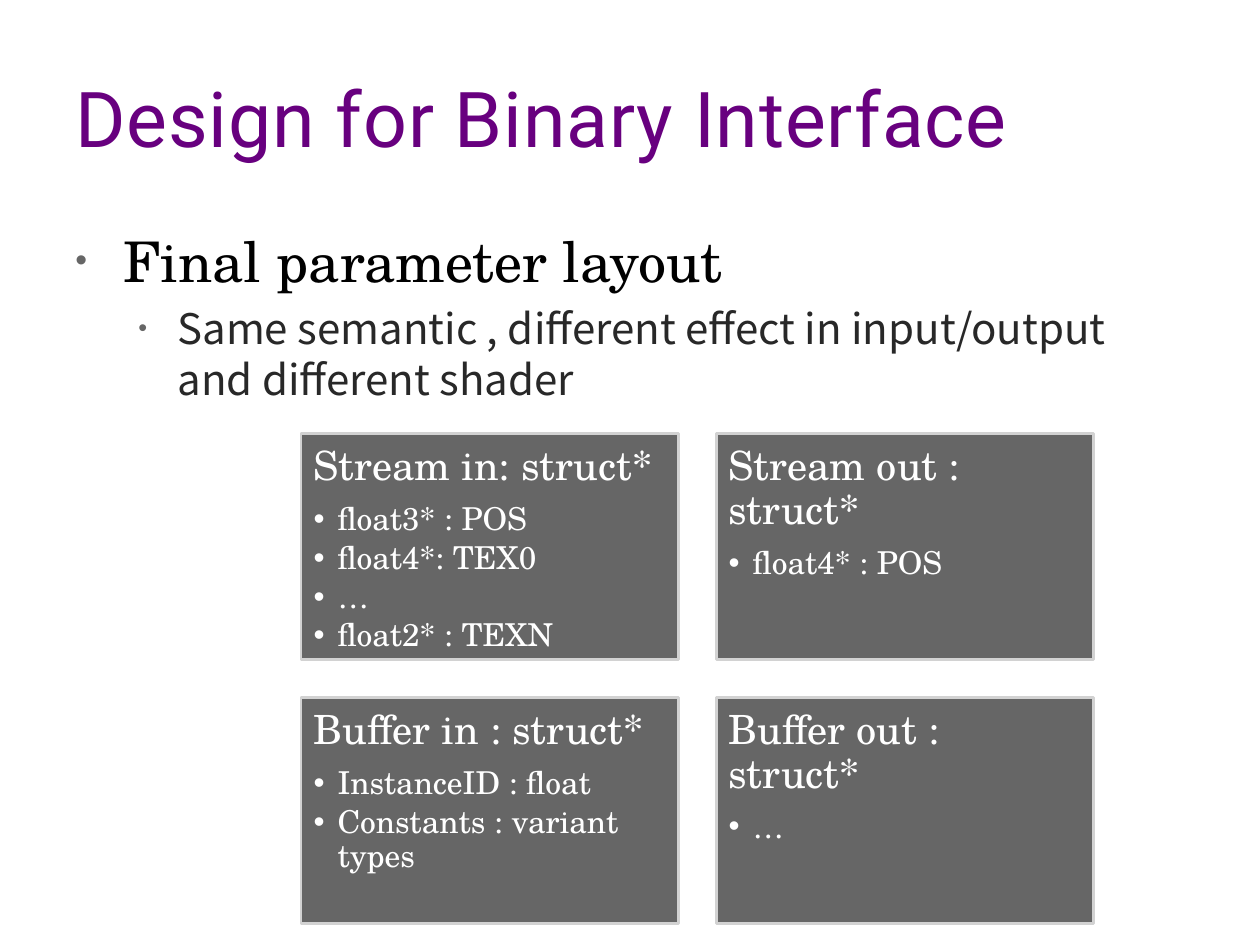
from dataclasses import dataclass
from itertools import product

from lxml.etree import SubElement as Sub
from pptx import Presentation
from pptx.dml.color import RGBColor as Rgb
from pptx.enum.shapes import MSO_SHAPE as Shape
from pptx.enum.text import MSO_ANCHOR as Anchor, PP_ALIGN as Align
from pptx.oxml.ns import qn
from pptx.util import Inches, Pt


@dataclass(frozen=True)
class Theme:
    title: str = "68007F"
    ink: str = "000000"
    soft: str = "282828"
    gray: str = "666666"
    edge: str = "D2D2D2"
    white: str = "FFFFFF"
    sans: str = "Roboto"
    serif: str = "TeX Gyre Schola"
    body: str = "Noto Sans CJK SC"
    huge: int = 44
    large: int = 32
    mid: int = 24
    head: int = 23
    item: int = 18


THEME = Theme()

CARDS = [
    ("Stream in: struct*",
     ["float3* : POS", "float4*: TEX0", "…", "float2* : TEXN"]),
    ("Stream out : struct*", ["float4* : POS"]),
    ("Buffer in : struct*",
     ["InstanceID : float", "Constants : variant types"]),
    ("Buffer out : struct*", ["…"]),
]


def apply(target, values):
    for name, value in values.items():
        setattr(target, name, value)


def write(para, text, font, size, color, **layout):
    run = para.add_run()
    run.text = text
    apply(run.font, {"name": font, "size": Pt(size)})
    run.font.color.rgb = Rgb.from_string(color)
    apply(para, {"alignment": Align.LEFT, **layout})
    return run


def bullet(para, left, hang, color=None, scale=None):
    """Give the paragraph a hanging dot; scale is in percent."""
    props = para._p.get_or_add_pPr()
    props.set("marL", str(Inches(left)))
    props.set("indent", str(-Inches(hang)))
    if color:
        Sub(Sub(props, qn("a:buClr")), qn("a:srgbClr"), val=color)
    if scale:
        Sub(props, qn("a:buSzPct"), val=str(scale * 1000))
    Sub(props, qn("a:buFont"), typeface="Arial")
    Sub(props, qn("a:buChar"), char="•")


def text_box(slide, box, anchor=Anchor.TOP):
    frame = slide.shapes.add_textbox(*map(Inches, box)).text_frame
    apply(frame, {"word_wrap": True, "vertical_anchor": anchor})
    return frame


def add_title(slide, box, text):
    para = text_box(slide, box, Anchor.MIDDLE).paragraphs[0]
    run = write(para, text, THEME.sans, THEME.huge, THEME.title)
    run.font._element.set("spc", "50")


def add_body(slide, box, point, detail):
    frame = text_box(slide, box)
    para = frame.paragraphs[0]
    write(para, point, THEME.serif, THEME.large, THEME.ink,
          space_before=Pt(6.4))
    bullet(para, 0.38, 0.38, THEME.gray, 60)
    para = frame.add_paragraph()
    write(para, detail, THEME.body, THEME.mid, THEME.soft,
          level=1, space_before=Pt(4.8), line_spacing=Pt(29))
    bullet(para, 0.81, 0.31, THEME.gray, 60)


def add_card(slide, box, head, items):
    card = slide.shapes.add_shape(Shape.RECTANGLE, *map(Inches, box))
    card.shadow.inherit = False
    card.fill.solid()
    card.fill.fore_color.rgb = Rgb.from_string(THEME.gray)
    card.line.color.rgb = Rgb.from_string(THEME.edge)
    card.line.width = Pt(1.5)
    frame = card.text_frame
    sides = ("left", "top", "right", "bottom")
    apply(frame, {f"margin_{side}": Inches(0.1) for side in sides})
    apply(frame, {"word_wrap": True, "vertical_anchor": Anchor.TOP})
    write(frame.paragraphs[0], head, THEME.serif, THEME.head, THEME.white,
          line_spacing=0.9, space_after=Pt(8))
    for item in items:
        para = frame.add_paragraph()
        write(para, item, THEME.serif, THEME.item, THEME.white,
              level=1, line_spacing=0.9, space_after=Pt(2.7))
        bullet(para, 0.19, 0.19)


def add_grid(slide, box, cards, gap=0.3, cols=2):
    """Fill the box with equal cards, row by row."""
    left, top, width, height = box
    rows = len(cards) // cols
    wide = (width - gap * (cols - 1)) / cols
    high = (height - gap * (rows - 1)) / rows
    for (row, col), card in zip(product(range(rows), range(cols)), cards):
        place = (left + col * (wide + gap), top + row * (high + gap),
                 wide, high)
        add_card(slide, place, *card)


def main():
    deck = Presentation()
    apply(deck, {"slide_width": Inches(10), "slide_height": Inches(7.5)})
    slide = deck.slides.add_slide(deck.slide_layouts[6])
    add_title(slide, (0.5, 0.3, 8.5, 1.25), "Design for Binary Interface")
    add_body(slide, (0.5, 1.75, 9, 4.95), "Final parameter layout",
             "Same semantic , different effect in input/output "
             "and different shader")
    add_grid(slide, (2.39, 3.44, 6.29, 3.89), CARDS)
    deck.save("out.pptx")


if __name__ == "__main__":
    main()
